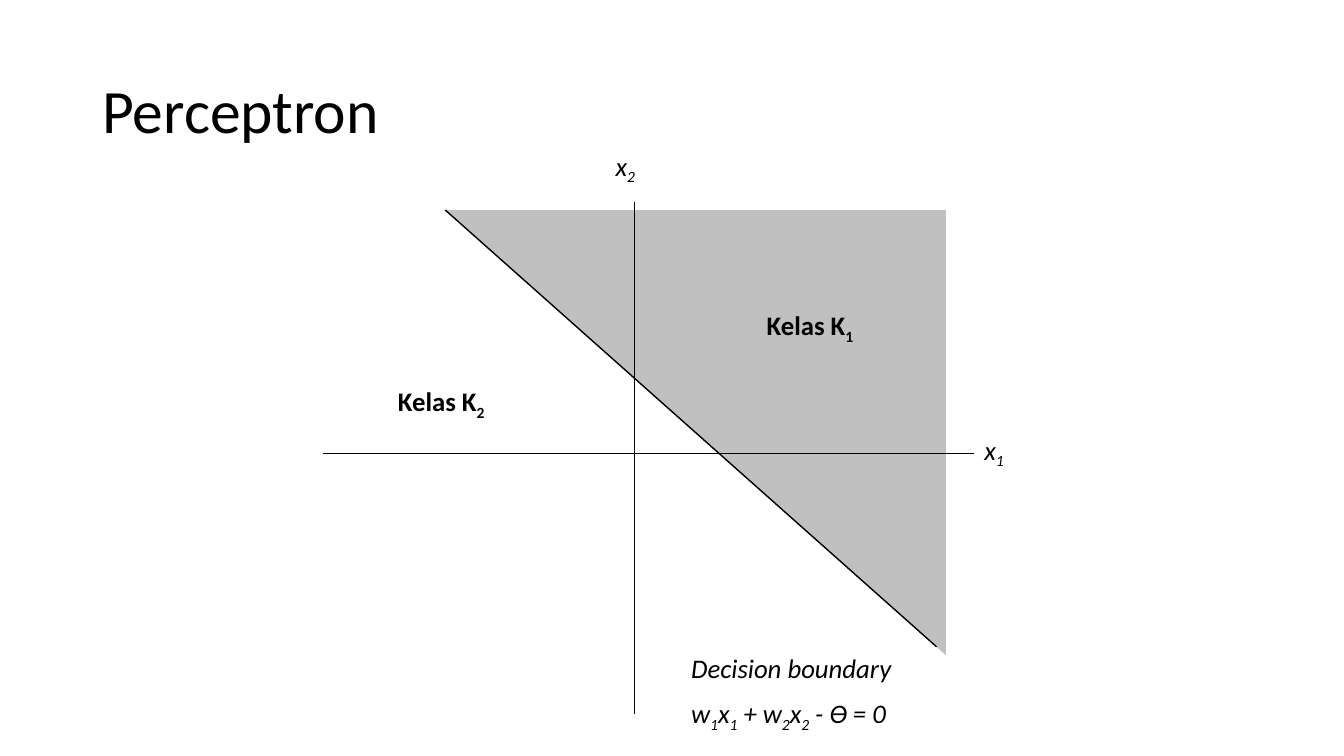
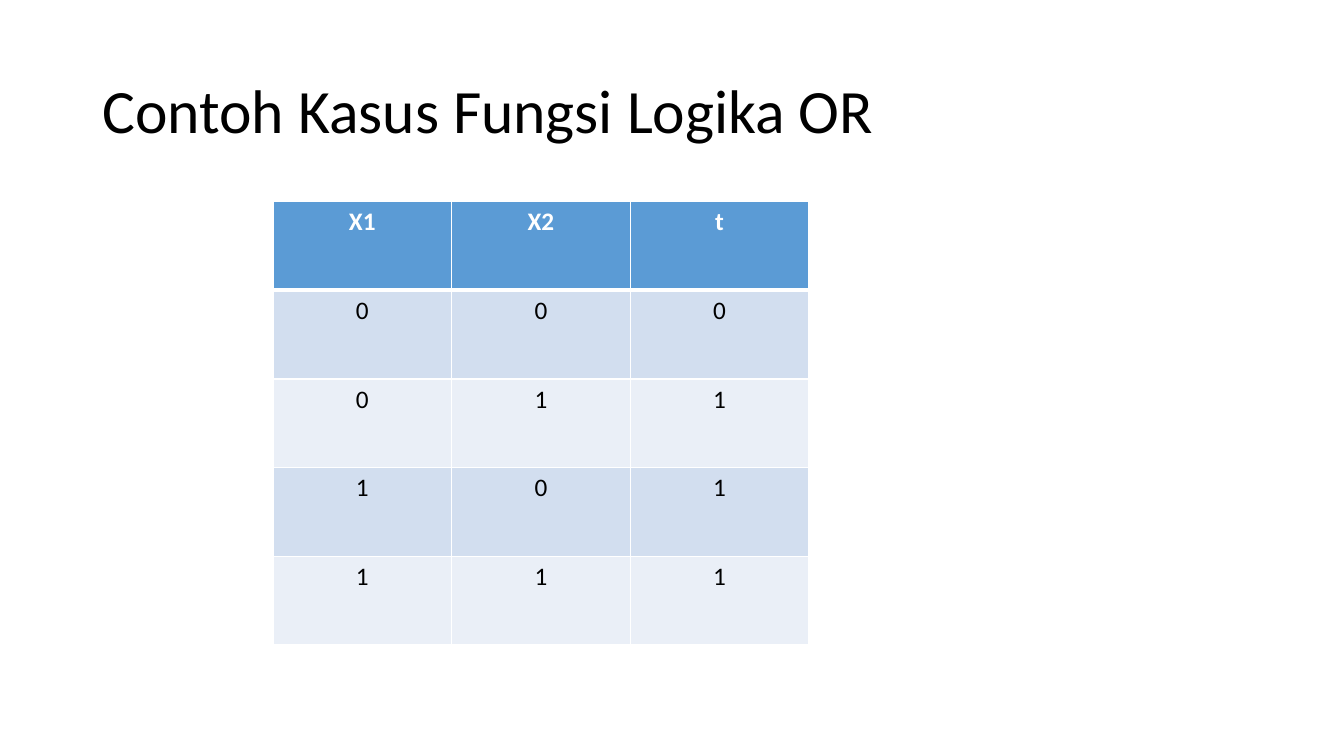
from dataclasses import dataclass
from typing import NamedTuple

from lxml import etree
from pptx import Presentation
from pptx import util as u
from pptx.dml.color import RGBColor
from pptx.enum import shapes, text
from pptx.oxml import ns

COLUMNS, ROWS = 160, 90
UNIT = u.Inches(7.5) / ROWS  # side of one grid square


@dataclass(frozen=True)
class Theme:
    font: str = "Calibri"
    ink: str = "000000"
    paper: str = "FFFFFF"
    region: str = "C0C0C0"
    header: str = "5B9BD5"
    bands: tuple[str, str] = ("D2DEEF", "EAEFF7")
    title_size: float = 44
    label_size: float = 19.1
    cell_size: float = 18
    paragraph_gap: float = 9.5
    border: float = 1
    header_border: float = 3


THEME = Theme()


class Box(NamedTuple):
    left: float
    top: float
    width: float
    height: float


class Label(NamedTuple):
    """Text lines in which an underscore lowers the next character."""
    box: Box
    lines: tuple[str, ...]
    style: dict[str, bool]


class Stroke(NamedTuple):
    start: tuple[float, float]
    end: tuple[float, float]
    weight: float


TITLE_BOX = Box(11, 4.8, 138, 17.4)
REGION_BOX = Box(53, 25, 59.6, 53)
STROKES = (
    Stroke((38.4, 54), (116, 54), 0.75),
    Stroke((75.5, 24), (75.5, 85), 0.75),
    Stroke((53, 25), (111.5, 77), 1),
)
ITALIC, BOLD = {"italic": True}, {"bold": True}
LABELS = (
    Label(Box(72.1, 17.2, 10.2, 5), ("x_2",), ITALIC),
    Label(Box(116, 51, 10.2, 5), ("x_1",), ITALIC),
    Label(Box(46.2, 45.2, 22.4, 5), ("Kelas K_2",), BOLD),
    Label(Box(90.1, 36.2, 22.4, 5), ("Kelas K_1",), BOLD),
    Label(Box(81.1, 77, 33.7, 10.8),
          ("Decision boundary", "w_1x_1 + w_2x_2 - Ө = 0"), ITALIC),
)
TRUTH_BOX = Box(32.5, 24, 63.8, 52.8)
TRUTH_HEAD = ("X1", "X2", "t")
TRUTH_ROWS = [(a, b, a | b) for a in (0, 1) for b in (0, 1)]


def grid(*squares: float) -> list[int]:
    return [round(n * UNIT) for n in squares]


def rgb(colour: str) -> RGBColor:
    return RGBColor.from_string(colour)


def add_run(paragraph, words: str, size: float, colour: str = THEME.ink,
            lowered: bool = False, **style: bool) -> None:
    run = paragraph.add_run()
    run.text = words
    for key, value in {"name": THEME.font, "size": u.Pt(size), **style}.items():
        setattr(run.font, key, value)
    run.font.color.rgb = rgb(colour)
    if lowered:
        run.font._element.set("baseline", "-25000")


def add_frame(slide, box: Box):
    frame = slide.shapes.add_textbox(*grid(*box)).text_frame
    frame.word_wrap = True
    return frame


def add_titled_slide(deck, title: str):
    slide = deck.slides.add_slide(deck.slide_layouts[6])
    frame = add_frame(slide, TITLE_BOX)
    frame.vertical_anchor = text.MSO_ANCHOR.MIDDLE
    heading = frame.paragraphs[0]
    heading.line_spacing = 0.9
    add_run(heading, title, THEME.title_size)
    return slide


def add_label(slide, label: Label) -> None:
    frame = add_frame(slide, label.box)
    for index, line in enumerate(label.lines):
        paragraph = frame.add_paragraph() if index else frame.paragraphs[0]
        if index:
            paragraph.space_before = u.Pt(THEME.paragraph_gap)
        plain, *lowered = line.split("_")
        add_run(paragraph, plain, THEME.label_size, **label.style)
        for piece in lowered:
            add_run(paragraph, piece[0], THEME.label_size, lowered=True, **label.style)
            if piece[1:]:
                add_run(paragraph, piece[1:], THEME.label_size, **label.style)


def add_stroke(slide, stroke: Stroke) -> None:
    line = slide.shapes.add_connector(
        shapes.MSO_CONNECTOR.STRAIGHT, *grid(*stroke.start, *stroke.end))
    line.line.color.rgb = rgb(THEME.ink)
    line.line.width = u.Pt(stroke.weight)
    etree.SubElement(line._element.spPr, ns.qn("a:effectLst"))


def add_region(slide) -> None:
    region = slide.shapes.add_shape(
        shapes.MSO_SHAPE.RIGHT_TRIANGLE, *grid(*REGION_BOX))
    region.rotation = 180
    region.shadow.inherit = False
    region.fill.solid()
    region.fill.fore_color.rgb = rgb(THEME.region)
    region.line.fill.background()


def set_borders(cell, top: float, bottom: float) -> None:
    properties = cell._tc.get_or_add_tcPr()
    weights = {"L": THEME.border, "R": THEME.border, "T": top, "B": bottom}
    for side, weight in weights.items():
        edge = etree.SubElement(properties, ns.qn(f"a:ln{side}"), w=str(u.Pt(weight)))
        fill = etree.SubElement(edge, ns.qn("a:solidFill"))
        etree.SubElement(fill, ns.qn("a:srgbClr"), val=THEME.paper)


def add_truth_table(slide) -> None:
    content = [TRUTH_HEAD, *TRUTH_ROWS]
    table = slide.shapes.add_table(
        len(content), len(TRUTH_HEAD), *grid(*TRUTH_BOX)).table
    table.horz_banding = False
    side, edge = u.Inches(0.17), u.Inches(0.05)
    margins = {"margin_left": side, "margin_right": side,
               "margin_top": edge, "margin_bottom": edge}
    for r, values in enumerate(content):
        is_head = r == 0
        top = THEME.header_border if r == 1 else THEME.border
        bottom = THEME.header_border if is_head else THEME.border
        for c, value in enumerate(values):
            cell = table.cell(r, c)
            for key, margin in margins.items():
                setattr(cell, key, margin)
            set_borders(cell, top, bottom)
            cell.fill.solid()
            cell.fill.fore_color.rgb = rgb(
                THEME.header if is_head else THEME.bands[(r - 1) % 2])
            paragraph = cell.text_frame.paragraphs[0]
            paragraph.alignment = text.PP_ALIGN.CENTER
            add_run(paragraph, str(value), THEME.cell_size,
                    THEME.paper if is_head else THEME.ink, bold=is_head)


def main() -> None:
    deck = Presentation()
    deck.slide_width, deck.slide_height = grid(COLUMNS, ROWS)

    boundary = add_titled_slide(deck, "Perceptron")
    add_region(boundary)
    for stroke in STROKES:
        add_stroke(boundary, stroke)
    for label in LABELS:
        add_label(boundary, label)

    add_truth_table(add_titled_slide(deck, "Contoh Kasus Fungsi Logika OR"))
    deck.save("out.pptx")


if __name__ == "__main__":
    main()
